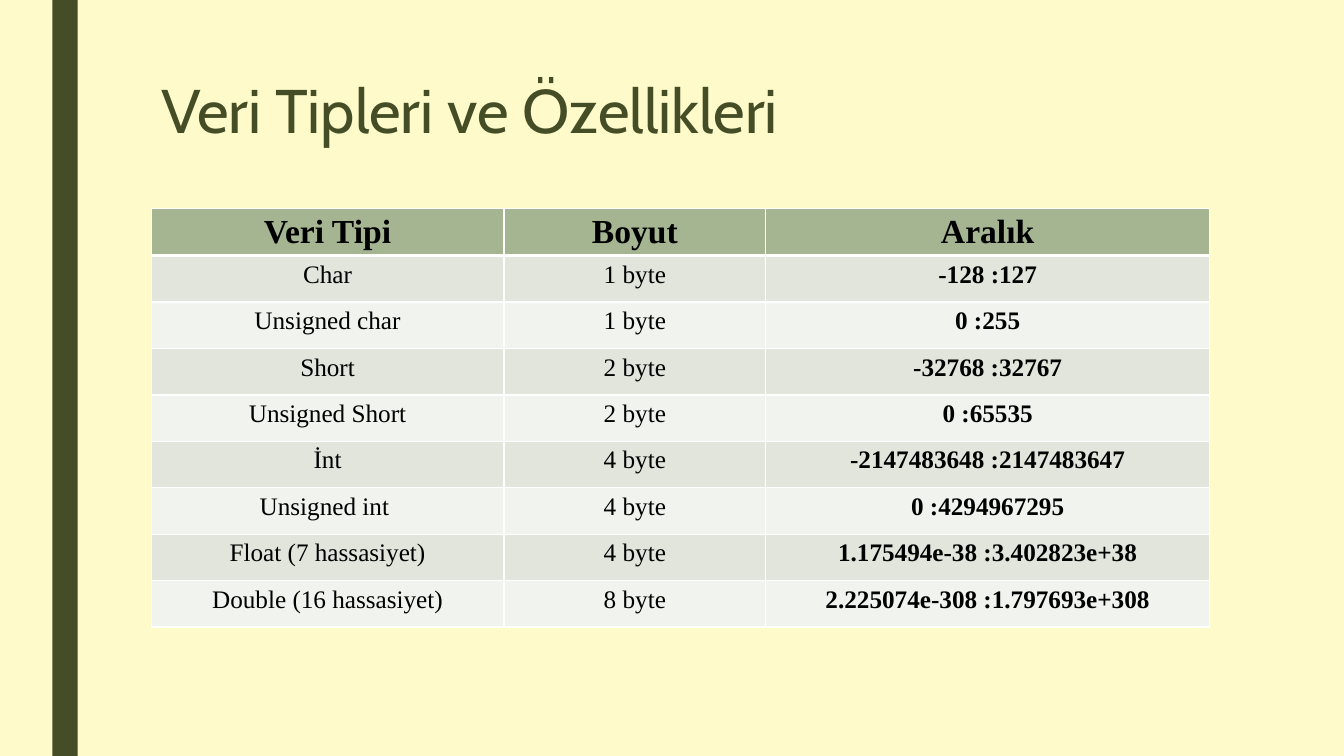
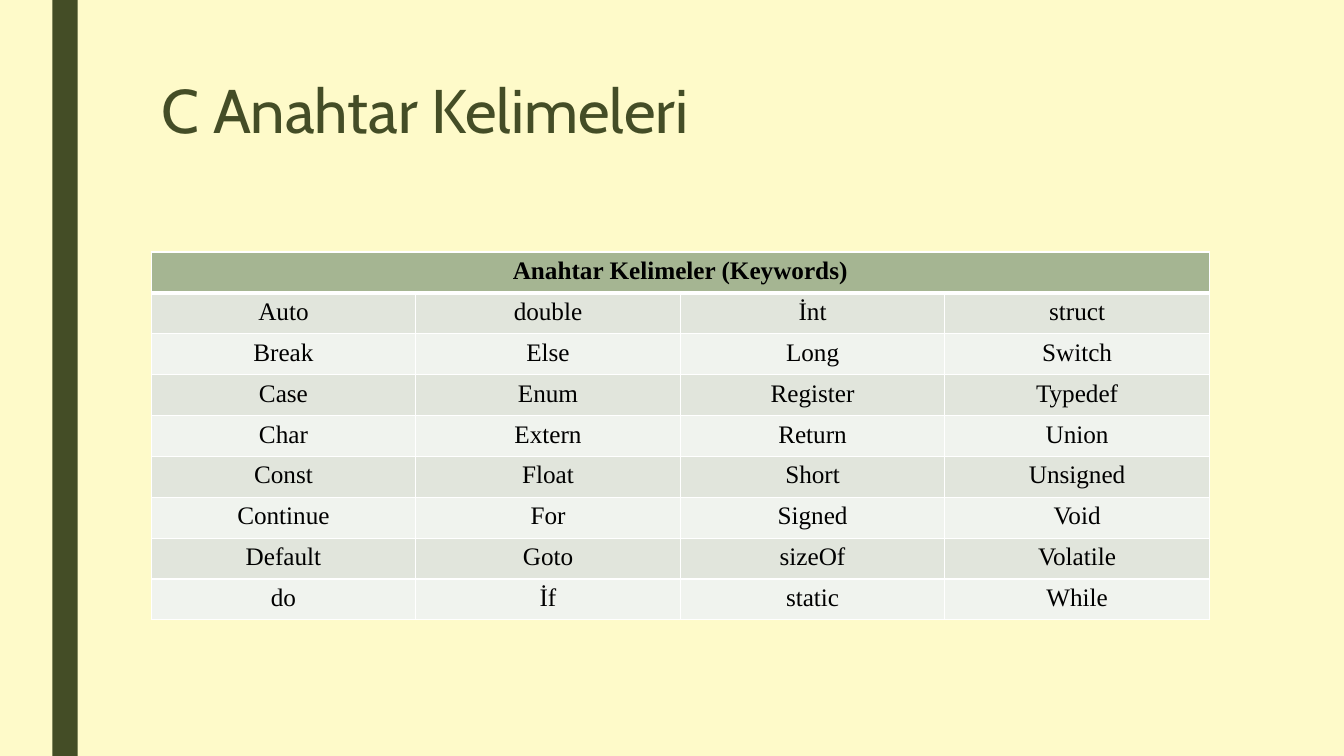
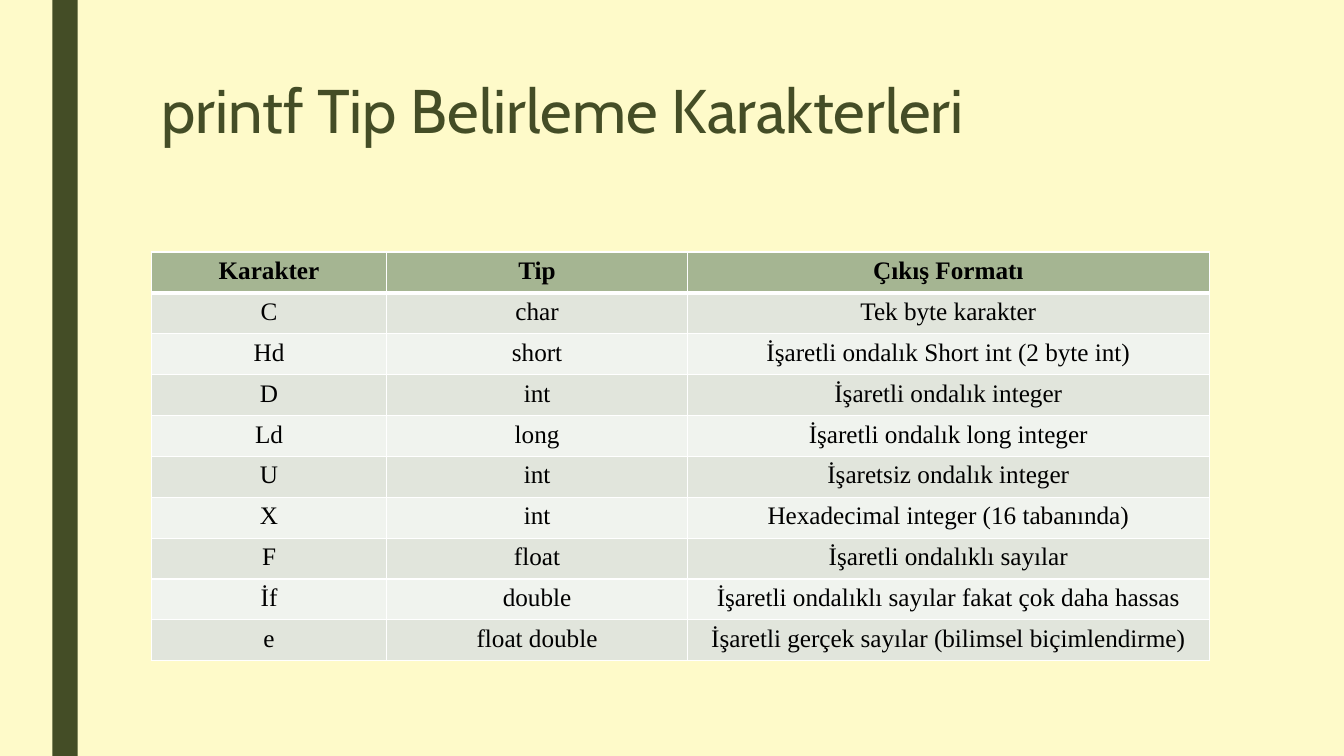
import pptx
import pptx.util
import pptx.dml.color
import pptx.enum.shapes
import pptx.enum.text
import pptx.oxml
import pptx.oxml.ns

Cm, Pt = pptx.util.Cm, pptx.util.Pt

# Content: widths, tops and heights in cm; "bold" lists the bold body columns
SLIDES = [
    {"title": "Veri Tipleri ve Özellikleri",
     "top": 5.25, "height": 1.17, "cols": [8.89, 6.6, 11.18],
     "size": 24, "bold": [2],
     "head": ["Veri Tipi", "Boyut", "Aralık"],
     "rows": [
         ["Char", "1 byte", "-128 :127"],
         ["Unsigned char", "1 byte", "0 :255"],
         ["Short", "2 byte", "-32768 :32767"],
         ["Unsigned Short", "2 byte", "0 :65535"],
         ["İnt", "4 byte", "-2147483648 :2147483647"],
         ["Unsigned int ", "4 byte", "0 :4294967295"],
         ["Float (7 hassasiyet)", "4 byte", "1.175494e-38 :3.402823e+38"],
         ["Double (16 hassasiyet)", "8 byte", "2.225074e-308 :1.797693e+308"],
     ]},
    {"title": "C Anahtar Kelimeleri",
     "top": 6.35, "height": 1.03, "cols": [26.67 / 4] * 4,
     "size": 18, "bold": [],
     "head": ["Anahtar Kelimeler (Keywords)"],
     "rows": [
         ["Auto", "double", "İnt", "struct"],
         ["Break", "Else", "Long", "Switch"],
         ["Case", "Enum", "Register", "Typedef"],
         ["Char", "Extern", "Return", "Union"],
         ["Const", "Float", "Short", "Unsigned"],
         ["Continue", "For", "Signed", "Void"],
         ["Default", "Goto", "sizeOf", "Volatile"],
         ["do", "İf", "static", "While"],
     ]},
    {"title": "printf Tip Belirleme Karakterleri",
     "top": 6.35, "height": 1.03, "cols": [5.94, 7.57, 13.16],
     "size": 18, "bold": [],
     "head": ["Karakter", "Tip", "Çıkış Formatı"],
     "rows": [
         ["C", "char", "Tek byte karakter"],
         ["Hd", "short", "İşaretli ondalık Short int (2 byte int)"],
         ["D", "int", "İşaretli ondalık integer"],
         ["Ld", "long", "İşaretli ondalık long integer"],
         ["U", "int", "İşaretsiz ondalık integer"],
         ["X", "int", "Hexadecimal integer (16 tabanında)"],
         ["F", "float", "İşaretli ondalıklı sayılar"],
         ["İf", "double", "İşaretli ondalıklı sayılar fakat çok daha hassas"],
         ["e", "float double", "İşaretli gerçek sayılar (bilimsel biçimlendirme)"],
     ]},
]

# Shared style
PAPER, DARK, INK, RULE = "FEFAC9", "444D26", "000000", "FFFFFF"
HEAD, BANDS = "A5B592", ["E1E5DC", "F0F3EE"]
LEFT, WIDTH = 3.81, 26.67
ALIGN = pptx.enum.text.PP_ALIGN


def paint(fill, code):
    fill.solid()
    fill.fore_color.rgb = pptx.dml.color.RGBColor.from_string(code)


def write(par, text, face, size, code, align, bold=False):
    par.alignment = align
    run = par.add_run()
    run.text = text
    font = run.font
    font.name, font.size, font.bold = face, Pt(size), bold
    font.color.rgb = pptx.dml.color.RGBColor.from_string(code)


def add_rules(cell, top, base):
    """Border a cell; the side lines are 1 pt wide."""
    props = cell._tc.get_or_add_tcPr()
    sides = [("L", 1), ("R", 1), ("T", top), ("B", base)]
    for spot, (side, width) in enumerate(sides):
        line = pptx.oxml.parse_xml(
            f'<a:ln{side} {pptx.oxml.ns.nsdecls("a")} w="{Pt(width)}">'
            f'<a:solidFill><a:srgbClr val="{RULE}"/></a:solidFill></a:ln{side}>')
        props.insert(spot, line)


def add_title(slide, text):
    title = slide.shapes.title
    title.left, title.top = Cm(LEFT), Cm(1.9)
    title.width, title.height = Cm(WIDTH), Cm(4.11)
    frame = title.text_frame
    frame.auto_size = pptx.enum.text.MSO_AUTO_SIZE.NONE
    frame.vertical_anchor = pptx.enum.text.MSO_ANCHOR.TOP
    par = frame.paragraphs[0]
    par.line_spacing = 0.89
    write(par, text, "Cabin", 44, DARK, ALIGN.LEFT)


def add_grid(slide, data):
    rows, cols = [data["head"]] + data["rows"], data["cols"]
    table = slide.shapes.add_table(
        len(rows), len(cols), Cm(LEFT), Cm(data["top"]),
        Cm(WIDTH), Cm(data["height"] * len(rows))).table
    for col, width in zip(table.columns, cols):
        col.width = Cm(width)
    for r, texts in enumerate(rows):
        table.rows[r].height = Cm(data["height"])
        for c in range(len(cols)):
            cell = table.cell(r, c)
            paint(cell.fill, BANDS[(r - 1) % 2] if r else HEAD)
            add_rules(cell, 3 if r == 1 else 1, 1 if r else 3)
            if c < len(texts):
                write(cell.text_frame.paragraphs[0], texts[c],
                      "Times New Roman", 18 if r else data["size"], INK,
                      ALIGN.CENTER, r == 0 or c in data["bold"])
    # A single heading spans the whole table
    if len(data["head"]) == 1:
        table.cell(0, 0).merge(table.cell(0, len(cols) - 1))


def add_band(deck, slide):
    """Draw the side band and move it to the master."""
    band = slide.shapes.add_shape(
        pptx.enum.shapes.MSO_SHAPE.RECTANGLE,
        Cm(1.32), 0, Cm(0.64), deck.slide_height)
    band.shadow.inherit = False
    paint(band.fill, DARK)
    band.line.fill.background()
    band.element.nvSpPr.cNvPr.set("id", "99")
    deck.slide_master.shapes.element.insert(2, band.element)


def main():
    deck = pptx.Presentation()
    deck.slide_width, deck.slide_height = Cm(33.87), Cm(19.05)
    paint(deck.slide_master.background.fill, PAPER)
    for data in SLIDES:
        slide = deck.slides.add_slide(deck.slide_layouts.get_by_name("Title Only"))
        add_title(slide, data["title"])
        add_grid(slide, data)
    add_band(deck, deck.slides[0])
    deck.save("out.pptx")


if __name__ == "__main__":
    main()
